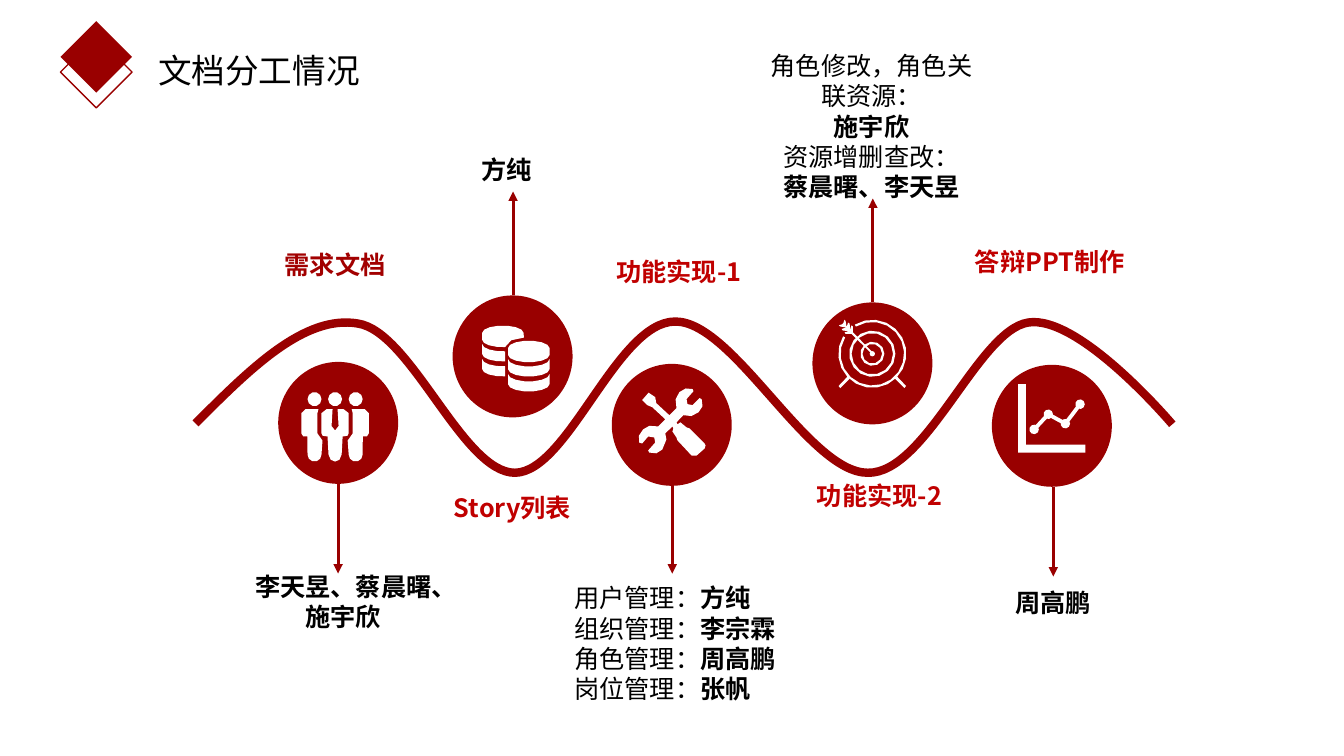
from math import cos, radians, sin

from lxml import etree
from pptx import Presentation
from pptx.dml.color import RGBColor
from pptx.enum.shapes import MSO_CONNECTOR, MSO_SHAPE
from pptx.enum.text import MSO_ANCHOR, PP_ALIGN
from pptx.oxml.ns import qn
from pptx.util import Pt

DIAMOND, OVAL = MSO_SHAPE.DIAMOND, MSO_SHAPE.OVAL
STRAIGHT = MSO_CONNECTOR.STRAIGHT
LEFT, CENTER = PP_ALIGN.LEFT, PP_ALIGN.CENTER
TOP = MSO_ANCHOR.TOP
FONT = "Noto Sans CJK SC"
COLORS = {
    name: RGBColor.from_string(value)
    for name, value in {
        "dark_red": "990000", "heading_red": "A20000", "label_red": "C00000",
        "white": "FFFFFF", "black": "000000",
    }.items()
}

presentation = Presentation()
presentation.slide_width, presentation.slide_height = Pt(960), Pt(540)
slide = presentation.slides.add_slide(presentation.slide_layouts[5])
shapes = slide.shapes


def arc(x, y, radius_x, radius_y, start=0, end=360):
    """Return points on an ellipse; angles run clockwise from the right."""
    steps = max(4, round(abs(end - start) / 360 * (7 + radius_x / 2)))
    angles = [radians(start + (end - start) * step / steps) for step in range(steps + 1)]
    return [(x + radius_x * cos(angle), y + radius_y * sin(angle)) for angle in angles]


def add_outline(left, top, contours, line_width=0, line_color="white"):
    """Add filled contours, or open strokes when a line width is given."""
    builder = None
    for contour in contours:
        points = [(Pt(left + x), Pt(top + y)) for x, y in contour]
        if builder is None:
            builder = shapes.build_freeform(*points[0])
        else:
            builder.move_to(*points[0])
        builder.add_line_segments(points[1:], close=not line_width)
    shape = builder.convert_to_shape()
    shape.shadow.inherit = False
    if line_width:
        shape.fill.background()
        shape.line.color.rgb = COLORS[line_color]
        shape.line.width = Pt(line_width)
    else:
        shape.fill.solid()
        shape.fill.fore_color.rgb = COLORS["white"]
        shape.line.fill.background()
    return shape


# Wave: a start point, then two handles and an end point for each curve
wave_points = [
    (139.7, 302.4), (178.6, 263.5), (217.4, 224.6), (255.6, 231.1),
    (293.8, 236.9), (330.5, 337.7), (367.9, 337.7),
    (406.1, 337), (440.6, 229.7), (482.4, 229.7),
    (524.2, 229.7), (577.4, 337.7), (619.9, 337.7),
    (661.7, 338.4), (698.4, 236.2), (734.4, 230.4),
    (771.1, 224.6), (837.4, 303.1), (837.4, 303.1),
]
wave = add_outline(0, 0, [wave_points], 6, "dark_red")
segments = list(wave._element.iter(qn("a:lnTo")))
for first, second, third in zip(segments[::3], segments[1::3], segments[2::3]):
    first.tag = qn("a:cubicBezTo")
    for segment in (second, third):
        first.append(segment[0])
        segment.getparent().remove(segment)

# Title diamonds and circles: kind, left, top, width, height, fill, has outline
marks = [
    (DIAMOND, 43.2, 25.9, 51.1, 51.1, "white", True),
    (DIAMOND, 43.2, 15.1, 51.1, 51.1, "dark_red", False),
]
circles = [(198.7, 258.5), (323.3, 211), (437, 259.9), (580.3, 216), (708.5, 260.6)]
marks += [(OVAL, left, top, 85.7, 87.1, "dark_red", False) for left, top in circles]
for kind, left, top, width, height, fill, outlined in marks:
    shape = shapes.add_shape(kind, Pt(left), Pt(top), Pt(width), Pt(height))
    shape.shadow.inherit = False
    shape.fill.solid()
    shape.fill.fore_color.rgb = COLORS[fill]
    if outlined:
        shape.line.color.rgb = COLORS["dark_red"]
        shape.line.width = Pt(1)
    else:
        shape.line.fill.background()

# Arrows: x, start y, end y
for x, start, end in [
    (241.5, 345.6, 409.7), (480.2, 345.6, 409.7), (752.4, 347.8, 411.8),
    (366.5, 211, 136.8), (623.5, 216, 141.8),
]:
    arrow = shapes.add_connector(STRAIGHT, Pt(x), Pt(start), Pt(x), Pt(end))
    arrow.line.color.rgb = COLORS["dark_red"]
    arrow.line.width = Pt(2.25)
    etree.SubElement(arrow.line._get_or_add_ln(), qn("a:tailEnd"), type="triangle")
    etree.SubElement(arrow._element.spPr, qn("a:effectLst"))

# Team icon
side_body = [
    (2.9, 12.2), (12.2, 12.2), (11.5, 15), (11.5, 29.5), (15.1, 34.6),
    *arc(9.4, 44.6, 5, 5, 0, 180), (4.3, 31.7), (1.4, 31.7), (0, 29.5), (0, 15),
]
half_body = [
    (24.1, 27.4), (21.6, 24.2), (22.3, 12.2), (18, 12.2), (14.4, 15), (14.4, 29.5),
    (15.3, 31.2), (18.7, 31.7), (19.4, 44.6), (21, 48.3), (24.1, 49.6),
]
heads = [arc(x, 5, 5, 5) for x in (9.4, 24.1, 38.8)]
middle_body = half_body + [(48.2 - x, y) for x, y in reversed(half_body)]
other_body = [(48.2 - x, y) for x, y in side_body]
add_outline(215.3, 280.1, [*heads, side_body, middle_body, other_body])

# Database icon: the rear stack is cut where the front one covers it
stacks = []
for x, y, cut, edge in [(15, 5.2, 84, [(30, 8.6), (21, 10.5)]), (33.5, 16, 0, [])]:
    stacks.append(arc(x, y, 14.8, 5.2, 180, 360) + edge + arc(x, y + 5, 14.8, 5.2, cut, 180))
    for drop in (8, 18.7):
        stacks.append(
            arc(x, y + drop, 14.8, 5.2, cut, 180) + arc(x, y + drop + 7.2, 14.8, 5.2, 180, cut)
        )
add_outline(344.2, 232.6, stacks)

# Tools icon
tools = [
    (47.5, 39.6), (36.7, 28.8), (34.6, 28.1), (30.2, 24.5), (28.1, 25.9),
    (27.4, 24.5), (32.4, 19.4), (38, 20), (43.2, 17.3), (46, 13), (45.4, 7.9),
    (43.9, 7.2), (38.9, 12.2), (35.3, 11.5), (34.6, 7.9), (39.6, 2.2), (38.9, 0.7),
    (34, 0.3), (29.5, 2.9), (26.8, 8), (27.4, 14.4), (22.3, 19.4), (13, 10.8), (12.2, 6.5),
    (7.5, 3.3), (2.9, 8.6), (6.5, 12.2), (10.1, 13.7), (19.4, 22.3), (14.4, 27.4),
    (8, 27), (3.6, 29.5), (0.6, 34), (0.7, 38.9), (2.9, 39.6), (7.2, 34.6),
    (11.5, 35.3), (12.2, 38.9), (7.2, 44.6), (7.9, 46.1), (13, 46.6),
    (17.3, 43.9), (20.2, 36.7), (19.4, 32.4), (24.5, 27.4), (25.2, 28.8), (24.5, 31),
    (27.4, 35.3), (28.1, 37.4), (38.2, 48.2), (41.8, 48.2), (47.5, 43.2), (48.2, 41),
]
add_outline(455.8, 277.2, [tools])

# Target icon with its dart
rings = [arc(24.1, 24.5, radius, radius) for radius in (16.5, 14.8, 8.6, 7, 1.9)]
rim = arc(24.1, 24.5, 24.3, 24.3, 239, 571) + arc(24.1, 24.5, 22.7, 22.7, 571, 239)
left_leg = [(6.2, 41), (0, 47.5), (1.2, 49), (7.8, 42.4)]
right_leg = [(48.2 - x, y) for x, y in left_leg]
add_outline(599, 228.2, [rim, *rings, left_leg, right_leg])
half_dart = [
    (24.6, 23.8), (10.3, 9.2), (10.3, 5), (9.2, 4.3), (8.4, 7.5), (7.9, 3), (6.8, 2.2),
    (5.8, 5.5), (5, 1), (4.2, 0.2), (3.5, 2.4),
]
add_outline(599, 228.2, [half_dart + [(y, x) for x, y in reversed(half_dart)]])

# Chart icon
axes = [(0, 0), (5.6, 0), (5.6, 43.2), (48.2, 43.2), (48.2, 49), (0, 49)]
trend = [(11.5, 32.4), (21.6, 21.6), (33.8, 28.3), (44.3, 14.4)]
add_outline(727.2, 274.3, [axes, *(arc(x, y, 3.4, 3.4) for x, y in trend)])
add_outline(727.2, 274.3, [trend], 2.75)

# Texts: left, top, width, height, alignment, colour, paragraphs of (text, bold) runs
texts = [
    (162.7, 174.2, 153.4, 29.5, CENTER, "heading_red", [[("需求文档", True)]]),
    (289.4, 347.8, 153.4, 29.5, CENTER, "label_red", [[("Story列表", True)]]),
    (408.2, 179.3, 153.4, 28.8, CENTER, "label_red", [[("功能实现-1", True)]]),
    (551.5, 339.8, 153.4, 28.8, CENTER, "label_red", [[("功能实现-2", True)]]),
    (673.2, 172.1, 153.4, 28.8, CENTER, "label_red", [[("答辩PPT制作", True)]]),
    (403.2, 412.6, 177.1, 94.3, LEFT, "black", [
        [(task + "管理：", False), (person, True)]
        for task, person in
        [("用户", "方纯"), ("组织", "李宗霖"), ("角色", "周高鹏"), ("岗位", "张帆")]
    ]),
    (536.4, 32.4, 172.1, 138.2, CENTER, "black", [
        [("角色修改，角色关联资源：", False)], [("施宇欣", True)],
        [("资源增删查改：", False)], [("蔡晨曙、李天昱", True)],
    ]),
    (675.4, 416.2, 153.4, 29.5, CENTER, "black", [[("周高鹏", True)]]),
    (168.5, 404.6, 153.4, 51.1, CENTER, "black", [[("李天昱、蔡晨曙、施宇欣", True)]]),
    (285.1, 106.6, 153.4, 28.8, CENTER, "black", [[("方纯", True)]]),
]
title_text = (105.8, 31.7, 193, 36, LEFT, "black", [[("文档分工情况", False)]])
for left, top, width, height, alignment, color, paragraphs in [title_text, *texts]:
    is_title = top == title_text[1]
    box = shapes.title if is_title else shapes.add_textbox(0, 0, 0, 0)
    for name, value in {"left": left, "top": top, "width": width, "height": height}.items():
        setattr(box, name, Pt(value))
    frame = box.text_frame
    frame.word_wrap = True
    frame.vertical_anchor = TOP
    for index, runs in enumerate(paragraphs):
        paragraph = frame.add_paragraph() if index else frame.paragraphs[0]
        paragraph.alignment = alignment
        for text, bold in runs:
            run = paragraph.add_run()
            run.text = text
            run.font.color.rgb = COLORS[color]
            font_format = {"size": Pt(24 if is_title else 18), "bold": bold, "name": FONT}
            for name, value in font_format.items():
                setattr(run.font, name, value)
            etree.SubElement(run._r.get_or_add_rPr(), qn("a:ea"), typeface=FONT)

presentation.save("out.pptx")
